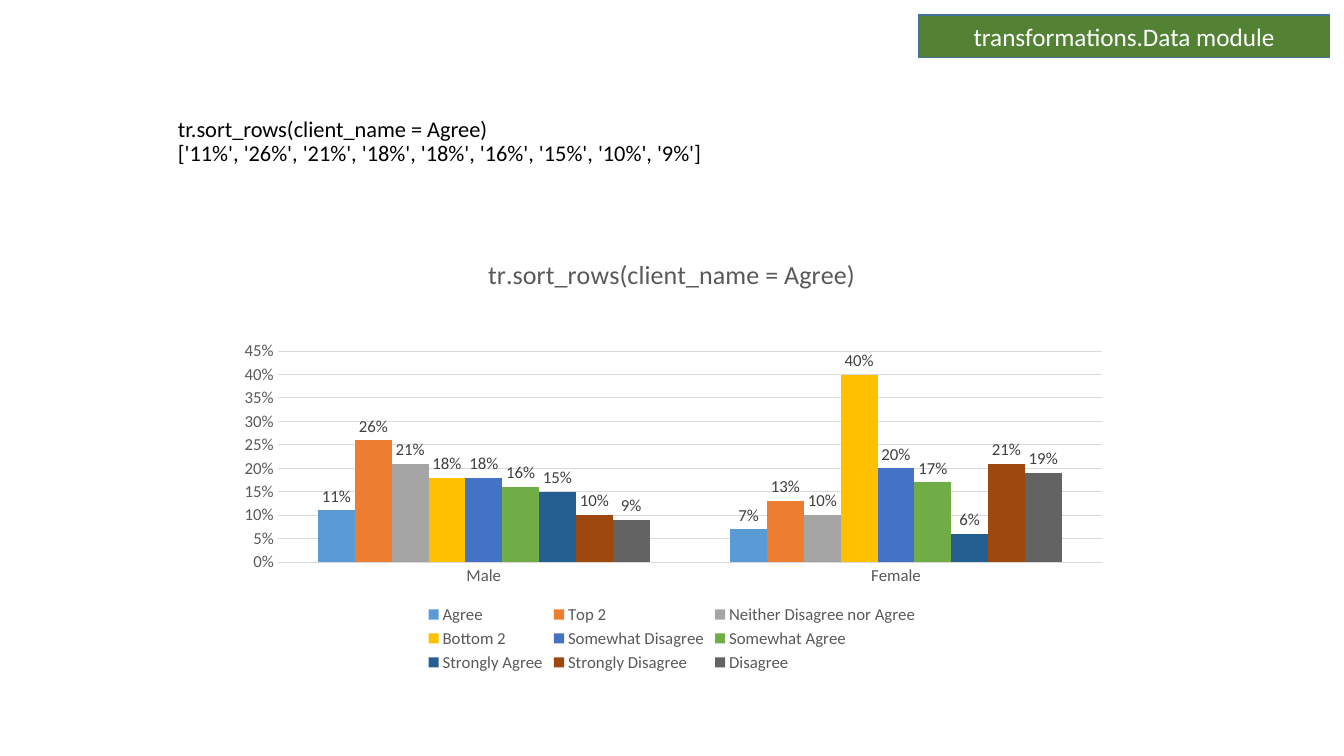
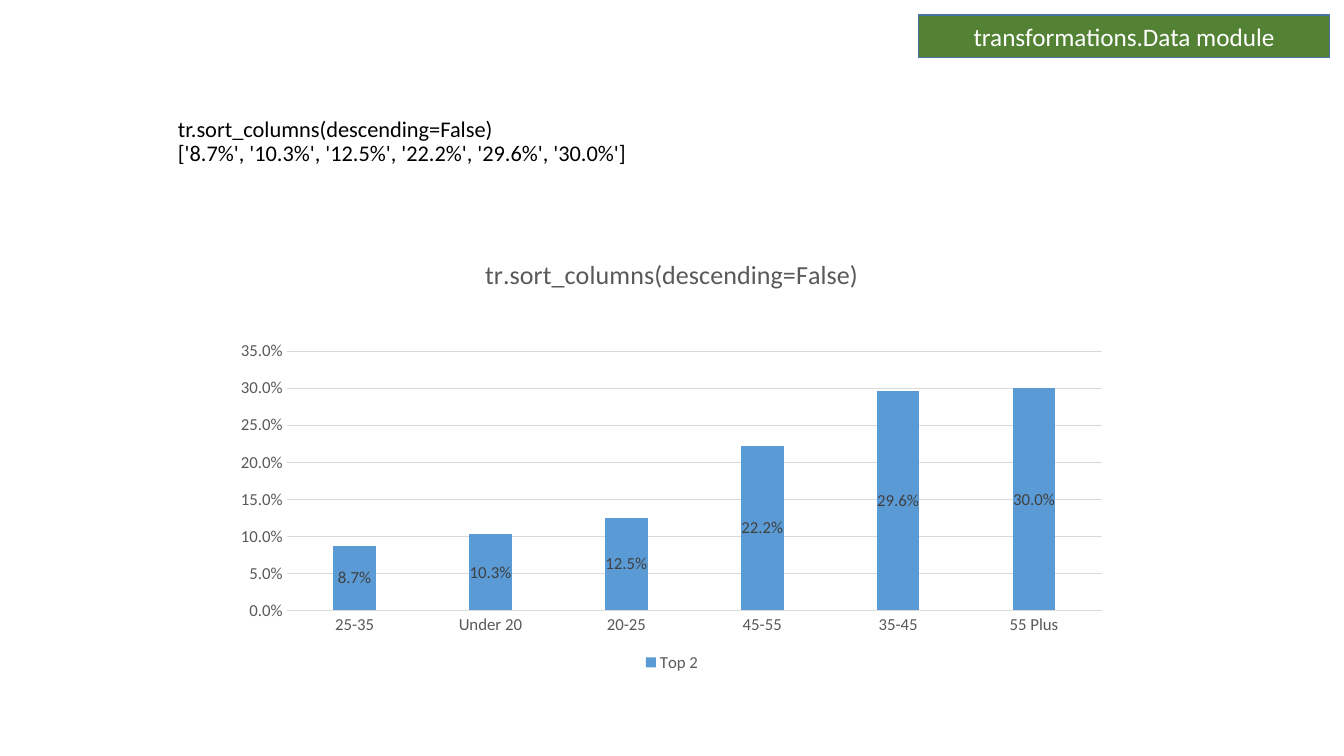
from lxml import etree
from pptx import Presentation
from pptx.chart.data import CategoryChartData
from pptx.dml.color import RGBColor
from pptx.enum.chart import XL_CHART_TYPE, XL_LABEL_POSITION, XL_LEGEND_POSITION, XL_TICK_MARK
from pptx.enum.shapes import MSO_SHAPE
from pptx.enum.text import MSO_ANCHOR, PP_ALIGN
from pptx.oxml.ns import qn
from pptx.util import Pt

CLUSTER = XL_CHART_TYPE.COLUMN_CLUSTERED
STACKED = XL_CHART_TYPE.COLUMN_STACKED
OUTSIDE = XL_LABEL_POSITION.OUTSIDE_END
BOTTOM = XL_LEGEND_POSITION.BOTTOM
NO_TICK = XL_TICK_MARK.NONE
RECT = MSO_SHAPE.RECTANGLE
MIDDLE, LOW = MSO_ANCHOR.MIDDLE, MSO_ANCHOR.BOTTOM
CENTER, LEFT = PP_ALIGN.CENTER, PP_ALIGN.LEFT


def rgb(code):
    """Turn a hex string into a colour."""
    return RGBColor.from_string(code)


def box(*sides):
    """Turn numbers in points into lengths."""
    return [Pt(side) for side in sides]


class Deck:
    """Holds the style and the current slide."""

    FACE = "Calibri"
    GREEN, EDGE = "548235", "43739E"
    WHITE, BLACK = "FFFFFF", "000000"
    GRAY, DARK, GRID = "595959", "404040", "D9D9D9"
    SERIES = ("5B9BD5", "ED7D31", "A5A5A5", "FFC000", "4472C4",
              "70AD47", "255E91", "9E480E", "636363")

    def __init__(self):
        """Start an empty wide deck."""
        self.show = Presentation()
        self.show.slide_width, self.show.slide_height = box(960, 540)

    def page(self):
        """Add a blank slide with the module banner."""
        self.slide = self.show.slides.add_slide(self.show.slide_layouts[6])
        self.banner("transformations.Data module")

    def font(self, font, size, color):
        """Apply the face, a size and a colour."""
        font.name, font.size = self.FACE, Pt(size)
        font.color.rgb = rgb(color)

    def stroke(self, line, color, width):
        """Colour a line and set its width."""
        line.color.rgb = rgb(color)
        line.width = Pt(width)

    def label(self, frame, text, size, color, anchor, align):
        """Fill a text frame and format it."""
        frame.text = text
        frame.word_wrap = True
        frame.vertical_anchor = anchor
        for para in frame.paragraphs:
            para.alignment = align
            para.line_spacing = 0.9 if align == LEFT else 1.0
            for run in para.runs:
                self.font(run.font, size, color)

    def banner(self, text):
        """Draw the green band at the top right."""
        band = self.slide.shapes.add_shape(RECT, *box(656, 10.8, 293.8, 30.2))
        band.shadow.inherit = False
        band.fill.solid()
        band.fill.fore_color.rgb = rgb(self.GREEN)
        self.stroke(band.line, self.EDGE, 1)
        self.label(band.text_frame, text, 18, self.WHITE, MIDDLE, CENTER)

    def title(self, call, result):
        """Show the call and its result."""
        area = self.slide.shapes.add_textbox(*box(120, 67.7, 720, 54.7))
        self.label(area.text_frame, f"{call}\n{result}", 16, self.BLACK, LOW, LEFT)

    def chart(self, kind, title, names, rows, form, top, inner):
        """Add a column chart with labels and a legend."""
        data = CategoryChartData(number_format=form)
        data.categories = names
        for name, values in rows.items():
            data.add_series(name, values)
        frame = self.slide.shapes.add_chart(kind, *box(160, 169.2, 640, 314), data)
        chart = frame.chart
        self.font(chart.font, 10, self.BLACK)
        chart.has_title = True
        head = chart.chart_title.text_frame
        head.text = title
        run = head.paragraphs[0].runs[0]
        self.font(run.font, 18.6, self.GRAY)
        run.font.bold = False
        chart.has_legend = True
        chart.legend.position = BOTTOM
        chart.legend.include_in_layout = False
        self.font(chart.legend.font, 12, self.GRAY)
        self.axes(chart, form, top)
        self.bars(chart.plots[0], kind, form)
        self.place(chart, inner)

    def axes(self, chart, form, top):
        """Style both axes and the grid."""
        cat, val = chart.category_axis, chart.value_axis
        for axis in (cat, val):
            axis.major_tick_mark = axis.minor_tick_mark = NO_TICK
            self.font(axis.tick_labels.font, 12, self.GRAY)
        self.stroke(cat.format.line, self.GRID, 0.75)
        val.format.line.fill.background()
        val.has_major_gridlines = True
        self.stroke(val.major_gridlines.format.line, self.GRID, 0.75)
        val.minimum_scale, val.maximum_scale, val.major_unit = 0, top, 0.05
        val.tick_labels.number_format = form
        val.tick_labels.number_format_is_linked = False

    def bars(self, plot, kind, form):
        """Colour the columns and label them."""
        plot.vary_by_categories = False
        plot.gap_width = 219
        plot.overlap = 100 if kind == STACKED else 0
        for series, color in zip(plot.series, self.SERIES):
            series.format.fill.solid()
            series.format.fill.fore_color.rgb = rgb(color)
            series.invert_if_negative = False
            labels = series.data_labels
            labels.show_value = True
            labels.number_format = form
            labels.number_format_is_linked = False
            self.font(labels.font, 12, self.DARK)
            if kind == CLUSTER:
                labels.position = OUTSIDE

    def place(self, chart, inner):
        """Fix the inner plot area as shares of the chart."""
        area = chart.element.find(".//" + qn("c:plotArea"))
        for old in area.findall(qn("c:layout")):
            area.remove(old)
        layout = etree.Element(qn("c:layout"))
        area.insert(0, layout)
        manual = etree.SubElement(layout, qn("c:manualLayout"))
        parts = [("layoutTarget", "inner"), ("xMode", "edge"), ("yMode", "edge")]
        for tag, value in parts + list(zip("xywh", inner)):
            etree.SubElement(manual, qn("c:" + tag)).set("val", str(value))


def main():
    """Build both slides and save them."""
    deck = Deck()

    deck.page()
    call = "tr.sort_rows(client_name = Agree)"
    deck.title(call, "['11%', '26%', '21%', '18%', '18%', '16%', '15%', '10%', '9%']")
    rows = {
        "Agree": (0.11, 0.07),
        "Top 2": (0.26, 0.13),
        "Neither Disagree nor Agree": (0.21, 0.10),
        "Bottom 2": (0.18, 0.40),
        "Somewhat Disagree": (0.18, 0.20),
        "Somewhat Agree": (0.16, 0.17),
        "Strongly Agree": (0.15, 0.06),
        "Strongly Disagree": (0.10, 0.21),
        "Disagree": (0.09, 0.19),
    }
    deck.chart(CLUSTER, call, ("Male", "Female"), rows, "0%", 0.45,
               (0.06, 0.26, 0.92, 0.48))

    deck.page()
    call = "tr.sort_columns(descending=False)"
    deck.title(call, "['8.7%', '10.3%', '12.5%', '22.2%', '29.6%', '30.0%']")
    ages = ("25-35", "Under 20", "20-25", "45-55", "35-45", "55 Plus")
    rows = {"Top 2": (0.087, 0.103, 0.125, 0.222, 0.296, 0.3)}
    deck.chart(STACKED, call, ages, rows, "0.0%", 0.35,
               (0.07, 0.26, 0.91, 0.59))

    deck.show.save("out.pptx")


if __name__ == "__main__":
    main()
